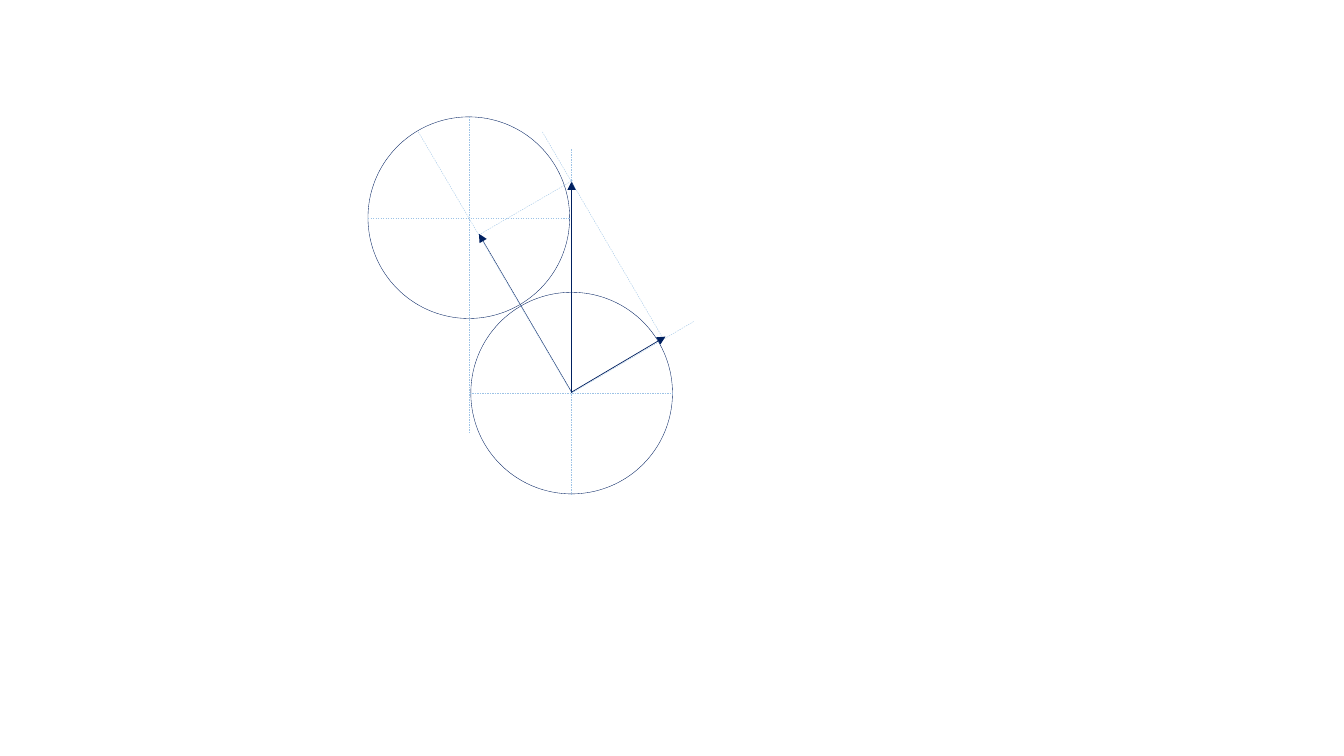
from lxml.etree import SubElement
from pptx import Presentation
from pptx.dml.color import RGBColor
from pptx.enum.dml import MSO_LINE
from pptx.enum.shapes import MSO_CONNECTOR, MSO_SHAPE
from pptx.oxml.ns import qn
from pptx.util import Inches, Pt

NAVY = RGBColor(0x00, 0x20, 0x60)
PALE_BLUE = RGBColor(0x9D, 0xC3, 0xE6)
THIN = 0.25
MEDIUM = 0.5
CELL = Inches(1)
RADIUS = 1

UPPER_CENTRE = (4.65, 2.16)
LOWER_CENTRE = (5.67, 3.9)
VECTOR_ORIGIN = (5.67, 3.89)

GUIDES_ACROSS_CIRCLES = [
    ((4.65, 1.16), (4.65, 4.29)),
    ((5.67, 1.48), (5.67, 4.91)),
    ((3.65, 2.16), (5.66, 2.16)),
    ((4.66, 3.9), (6.67, 3.9)),
]
GUIDES_ALONG_VECTORS = [
    ((4.15, 1.31), LOWER_CENTRE),
    ((4.75, 2.33), (5.68, 1.79)),
    (LOWER_CENTRE, (6.88, 3.19)),
    ((5.38, 1.31), (6.56, 3.33)),
]


def grid(value):
    return round(value * CELL)


def add_circle(slide, centre):
    column, row = centre
    circle = slide.shapes.add_shape(
        MSO_SHAPE.OVAL,
        grid(column - RADIUS),
        grid(row - RADIUS),
        grid(2 * RADIUS),
        grid(2 * RADIUS),
    )
    circle.shadow.inherit = False
    circle.fill.background()
    circle.line.color.rgb = NAVY
    circle.line.width = Pt(THIN)


def add_line(slide, start, end, color, width):
    connector = slide.shapes.add_connector(
        MSO_CONNECTOR.STRAIGHT, *(grid(value) for value in start + end)
    )
    connector.line.color.rgb = color
    connector.line.width = Pt(width)
    SubElement(connector._element.spPr, qn("a:effectLst"))
    return connector


def add_guides(slide, guides):
    for start, end in guides:
        guide = add_line(slide, start, end, PALE_BLUE, THIN)
        guide.line.dash_style = MSO_LINE.DASH


def add_vector(slide, start, end, width, arrow_end="a:tailEnd"):
    vector = add_line(slide, start, end, NAVY, width)
    outline = vector._element.spPr.find(qn("a:ln"))
    SubElement(outline, qn(arrow_end), type="triangle")


def main():
    presentation = Presentation()
    presentation.slide_width = Inches(13.33)
    presentation.slide_height = Inches(7.5)
    slide = presentation.slides.add_slide(presentation.slide_layouts[6])

    for centre in (UPPER_CENTRE, LOWER_CENTRE):
        add_circle(slide, centre)
    add_guides(slide, GUIDES_ACROSS_CIRCLES)
    add_vector(slide, LOWER_CENTRE, (5.67, 1.8), MEDIUM)
    add_guides(slide, GUIDES_ALONG_VECTORS)
    add_vector(slide, (4.75, 2.32), VECTOR_ORIGIN, THIN, "a:headEnd")
    add_vector(slide, VECTOR_ORIGIN, (6.6, 3.34), MEDIUM)

    presentation.save("out.pptx")


if __name__ == "__main__":
    main()
